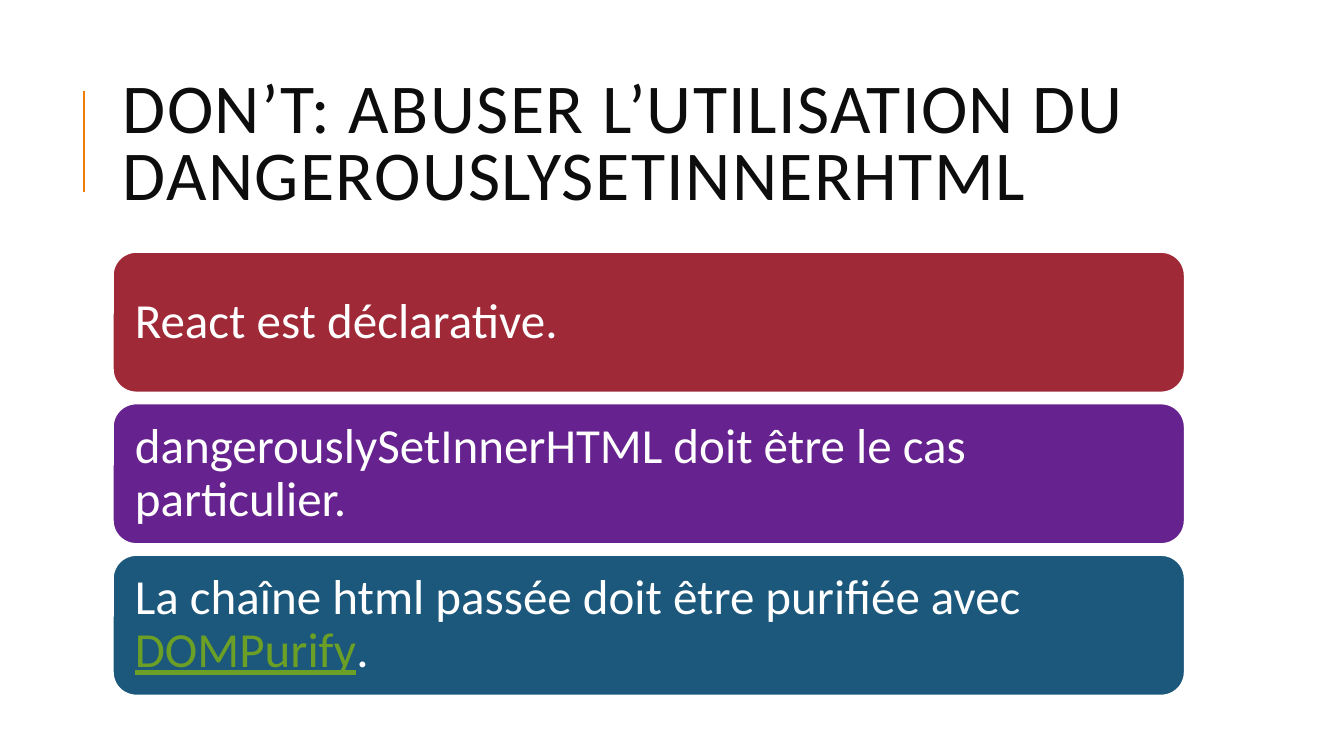
from pptx import Presentation
from pptx.dml.color import RGBColor
from pptx.enum.shapes import MSO_CONNECTOR as Connector, MSO_SHAPE as Shape
from pptx.enum.text import MSO_ANCHOR as Anchor, PP_ALIGN as Align
from pptx.util import Inches, Pt
from lxml.etree import SubElement
from pptx.oxml.ns import qn

COLORS = {
    "accent": "F07F09", "title": "0D0D0D", "white": "FFFFFF", "link": "6B9F25",
    "red": "9F2936", "purple": "66228E", "blue": "1B587C",
}
POINTS = [
    ("red", [("React est déclarative.", {})]),
    ("purple", [("dangerouslySetInnerHTML doit être le cas particulier.", {})]),
    ("blue", [("La chaîne html passée doit être purifiée avec ", {}),
              ("DOMPurify", {"color": "link", "underline": True}),
              (".", {})]),
]


def rgb(name):
    """Return the named colour."""
    return RGBColor.from_string(COLORS[name])


def add_span(para, text, size=35, color="white", underline=None, spacing=None):
    """Add formatted text to a paragraph, with letter spacing in points."""
    span = para.add_run()
    span.text = text
    span.font.name = "Calibri"
    span.font.size = Pt(size)
    span.font.color.rgb = rgb(color)
    span.font.underline = underline
    if spacing:
        span.font._element.set("spc", str(spacing * 100))


def prepare_frame(frame, line_spacing, inset_x, inset_y):
    """Set up a wrapped, middle-anchored frame and return its paragraph."""
    frame.word_wrap = True
    frame.vertical_anchor = Anchor.MIDDLE
    frame.margin_left = frame.margin_right = Inches(inset_x)
    frame.margin_top = frame.margin_bottom = Inches(inset_y)
    para = frame.paragraphs[0]
    para.alignment = Align.LEFT
    para.line_spacing = line_spacing
    return para


def add_title(page, left, top, width, height):
    """Place the title and the accent rule to its left."""
    rule_x, rule_top = Inches(left - 0.29), top + 0.26
    rule = page.shapes.add_connector(
        Connector.STRAIGHT, rule_x, Inches(rule_top + 1), rule_x, Inches(rule_top))
    rule.line.color.rgb = rgb("accent")
    rule.line.width = Pt(1.5)
    SubElement(rule._element.spPr, qn("a:effectLst"))
    box = page.shapes.add_textbox(
        Inches(left), Inches(top), Inches(width), Inches(height))
    para = prepare_frame(box.text_frame, 0.8, 0.1, 0.05)
    add_span(para, "DON’T: ABUSER L’UTILISATION DU DANGEROUSLYSETINNERHTML",
             size=50, color="title", spacing=1)


def add_points(page, left, top, width, height, gap=0.11):
    """Stack one rounded panel per point in the given area."""
    panel_height = (height - gap * (len(POINTS) - 1)) / len(POINTS)
    for index, (fill, spans) in enumerate(POINTS):
        panel = page.shapes.add_shape(
            Shape.ROUNDED_RECTANGLE, Inches(left),
            Inches(top + index * (panel_height + gap)),
            Inches(width), Inches(panel_height))
        panel.shadow.inherit = False
        panel.fill.solid()
        panel.fill.fore_color.rgb = rgb(fill)
        panel.line.color.rgb = rgb("white")
        panel.line.width = Pt(1.25)
        para = prepare_frame(panel.text_frame, 0.9, 0.15, 0.15)
        for text, style in spans:
            add_span(para, text, **style)


def main():
    """Build and save the slide."""
    deck = Presentation()
    deck.slide_width, deck.slide_height = Inches(13.33), Inches(7.5)
    page = deck.slides.add_slide(deck.slide_layouts[6])
    add_title(page, 1.12, 0.64, 10.63, 1.64)
    add_points(page, 1.12, 2.5, 10.63, 4.4)
    deck.save("out.pptx")


if __name__ == "__main__":
    main()
